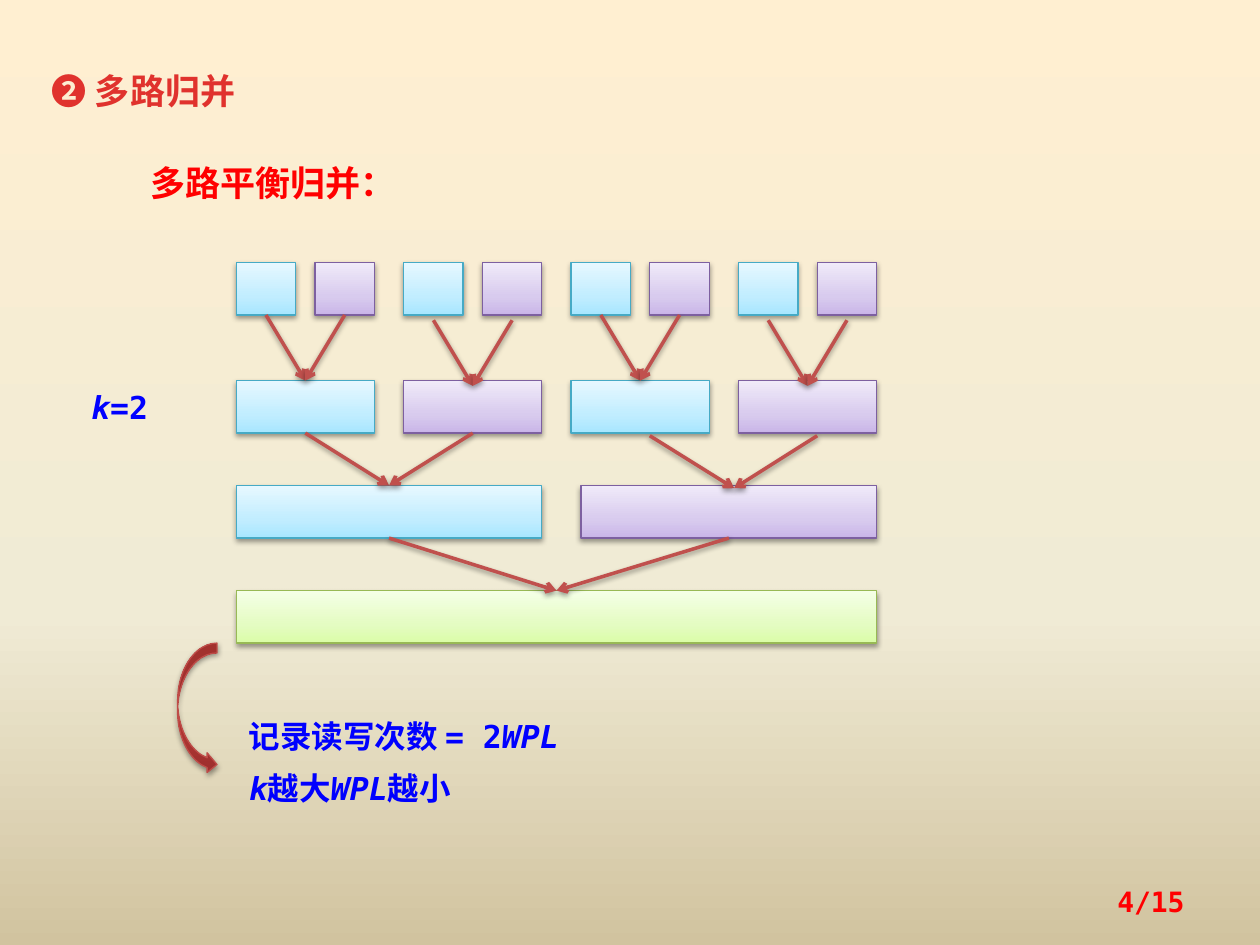
from lxml import etree
from pptx import Presentation
from pptx.dml.color import RGBColor
from pptx.enum.shapes import MSO_CONNECTOR, MSO_SHAPE
from pptx.enum.text import MSO_ANCHOR, MSO_AUTO_SIZE, PP_ALIGN
from pptx.oxml.ns import qn
from pptx.util import Pt

STRAIGHT = MSO_CONNECTOR.STRAIGHT
RECTANGLE, CURVED_ARROW = MSO_SHAPE.RECTANGLE, MSO_SHAPE.CURVED_RIGHT_ARROW
TOP, MIDDLE = MSO_ANCHOR.TOP, MSO_ANCHOR.MIDDLE
LEFT, RIGHT = PP_ALIGN.LEFT, PP_ALIGN.RIGHT
NO_FIT = MSO_AUTO_SIZE.NONE
BOTTOM_SITE, TOP_SITE = 2, 0

MONO, CJK = "DejaVu Sans Mono", "Noto Sans CJK SC"
TITLE_RED = RGBColor(0xE0, 0x32, 0x2D)
RED = RGBColor(0xFF, 0x00, 0x00)
BLUE = RGBColor(0x00, 0x00, 0xFF)
ARROW_RED = RGBColor(0xC0, 0x50, 0x4D)
CURVE_LINE = RGBColor(0xBF, 0x4C, 0x48)
CYAN_LINE = RGBColor(0x46, 0xAA, 0xC5)
PURPLE_LINE = RGBColor(0x7D, 0x60, 0xA0)
GREEN_LINE = RGBColor(0x98, 0xB9, 0x55)


def stops(*pairs):
    """Pair each gradient position in percent with its colour."""
    return [(position, RGBColor.from_string(color)) for position, color in pairs]


BACKGROUND = stops((0, "FFEFD1"), (65, "F0EBD5"), (100, "D1C39F"))
CURVE_FILL = stops((0, "9C2F2D"), (80, "CB3E3A"), (100, "CE3B37"))
CYAN = stops((0, "A7E6FF"), (35, "C1EDFF"), (100, "E7F8FF")), CYAN_LINE
PURPLE = stops((0, "C9B5E8"), (35, "D8CBEE"), (100, "F0EAF9")), PURPLE_LINE
GREEN = stops((0, "DAFDA7"), (35, "E4FCC2"), (100, "F5FFE7")), GREEN_LINE
PAIR = CYAN, PURPLE


def add_element(parent, tag, **attributes):
    """Append a drawing element with the given attributes."""
    return etree.SubElement(parent, qn(tag), attributes)


def set_gradient(fill, element, gradient, angle):
    """Give a fill a linear gradient of any number of stops."""
    fill.gradient()
    fill.gradient_angle = angle
    stop_list = next(element.iter(qn("a:gsLst")))
    for stop in list(stop_list):
        stop_list.remove(stop)
    for position, color in gradient:
        stop = add_element(stop_list, "a:gs", pos=str(position * 1000))
        add_element(stop, "a:srgbClr", val=str(color))


def add_shadow(item):
    """Put a soft shadow just below a shape or connector."""
    effects = add_element(item._element.spPr, "a:effectLst")
    shadow = add_element(effects, "a:outerShdw", blurRad=str(Pt(3.1)),
                         dist=str(Pt(1.6)), dir="5400000", rotWithShape="0")
    color = add_element(shadow, "a:srgbClr", val="000000")
    add_element(color, "a:alpha", val="38000")


def add_block(page, kind, box, gradient, outline):
    """Draw a shaded shape with a thin outline."""
    shape = page.shapes.add_shape(kind, *map(Pt, box))
    set_gradient(shape.fill, shape._element.spPr, gradient, 90)
    shape.line.color.rgb = outline
    shape.line.width = Pt(0.75)
    add_shadow(shape)
    return shape


def add_merge(page, sources, target, shift=None):
    """Draw arrows from two runs to their merged run, joined unless shifted."""
    for source in sources:
        tail_x, tip_x, down = map(Pt, shift or (0, 0, 0))
        arrow = page.shapes.add_connector(
            STRAIGHT,
            source.left + source.width // 2 + tail_x,
            source.top + source.height + down,
            target.left + target.width // 2 + tip_x,
            target.top + down)
        if shift is None:
            arrow.begin_connect(source, BOTTOM_SITE)
            arrow.end_connect(target, TOP_SITE)
        arrow.line.color.rgb = ARROW_RED
        arrow.line.width = Pt(2)
        add_element(arrow.line._ln, "a:tailEnd", type="arrow")
        add_shadow(arrow)


def add_merge_tree(page, box):
    """Draw four levels of two-way merging inside the box."""
    left, top, width, height = box
    run_height, run_width, run_step = 30, 34, 45
    pair_width = run_step + run_width
    pair_step = (width - pair_width) / 3
    last_top = top + height - run_height
    level_tops = top, last_top - 120, last_top - 60, last_top

    def add_run(level, x, run_span, style):
        """Draw one run on the given level."""
        place = left + x, level_tops[level], run_span, run_height
        return add_block(page, RECTANGLE, place, *style)

    pairs = []
    for index in range(4):
        x = index * pair_step
        runs = [add_run(0, x + i * run_step, run_width, PAIR[i]) for i in range(2)]
        merged = add_run(1, x, pair_width, PAIR[index % 2])
        add_merge(page, runs, merged, (0, 0, 3) if index % 2 else None)
        pairs.append(merged)

    half_widths = pair_step + pair_width, 169
    halves = [add_run(2, 0, half_widths[0], CYAN),
              add_run(2, width - half_widths[1], half_widths[1], PURPLE)]
    add_merge(page, pairs[:2], halves[0])
    add_merge(page, pairs[2:], halves[1], (5.5, 3, 1.5))
    add_merge(page, halves, add_run(3, 0, width, GREEN))


def write_text(shape, box, lines, size, color, font=MONO, anchor=TOP,
               align=LEFT, spacing=30):
    """Place a text shape and fill it with lines of (text, italic) runs."""
    shape.left, shape.top, shape.width, shape.height = map(Pt, box)
    frame = shape.text_frame
    frame.word_wrap = True
    frame.auto_size = NO_FIT
    frame.vertical_anchor = anchor
    for index, line in enumerate(lines):
        para = frame.add_paragraph() if index else frame.paragraphs[0]
        properties = para._p.get_or_add_pPr()
        properties.set("marL", "0")
        properties.set("indent", "0")
        add_element(properties, "a:buNone")
        para.alignment = align
        para.space_before = Pt(0)
        if spacing:
            para.line_spacing = Pt(spacing)
        for text, italic in line:
            span = para.add_run()
            span.text = text
            span.font.size = Pt(size)
            span.font.bold = True
            span.font.italic = italic
            span.font.color.rgb = color
            span.font.name = font
            add_element(span._r.get_or_add_rPr(), "a:ea", typeface=CJK)


def add_label(page, box, lines, size, color, **style):
    """Add a free text box."""
    write_text(page.shapes.add_textbox(0, 0, 0, 0), box, lines, size, color, **style)


def add_conclusion(page, box):
    """Write the conclusion with a curved arrow leading to it."""
    left, top = box[:2]
    lines = [[("记录读写次数 = 2", False), ("WPL", True)],
             [("k", True), ("越大", False), ("WPL", True), ("越小", False)]]
    write_text(page.placeholders[1], box, lines, 18, BLUE)
    add_block(page, CURVED_ARROW, (left - 33.5, top - 30, 22.5, 75),
              CURVE_FILL, CURVE_LINE)


def build_slide(deck):
    """Build the slide on multiway merging."""
    page = deck.slides.add_slide(deck.slide_layouts[1])
    set_gradient(page.background.fill, page._element, BACKGROUND, 270)
    write_text(page.shapes.title, (22.5, 30, 191.5, 37.5),
               [[("❷ 多路归并", False)]], 20, TITLE_RED)
    add_label(page, (78.75, 82.5, 168.75, 34.5),
              [[("多路平衡归并：", False)]], 20, RED, font=CJK)
    add_merge_tree(page, (135, 150, 366, 217.5))
    add_label(page, (45, 210, 56, 34.5), [[("k", True), ("=2", False)]], 18, BLUE)
    add_conclusion(page, (135, 397.5, 242, 67.5))
    add_label(page, (516, 500.5, 168, 28.75), [[("4/15", False)]], 16, RED,
              anchor=MIDDLE, align=RIGHT, spacing=None)


def main():
    """Create and save the deck."""
    deck = Presentation()
    deck.slide_width, deck.slide_height = Pt(720), Pt(540)
    build_slide(deck)
    deck.save("out.pptx")


if __name__ == "__main__":
    main()
